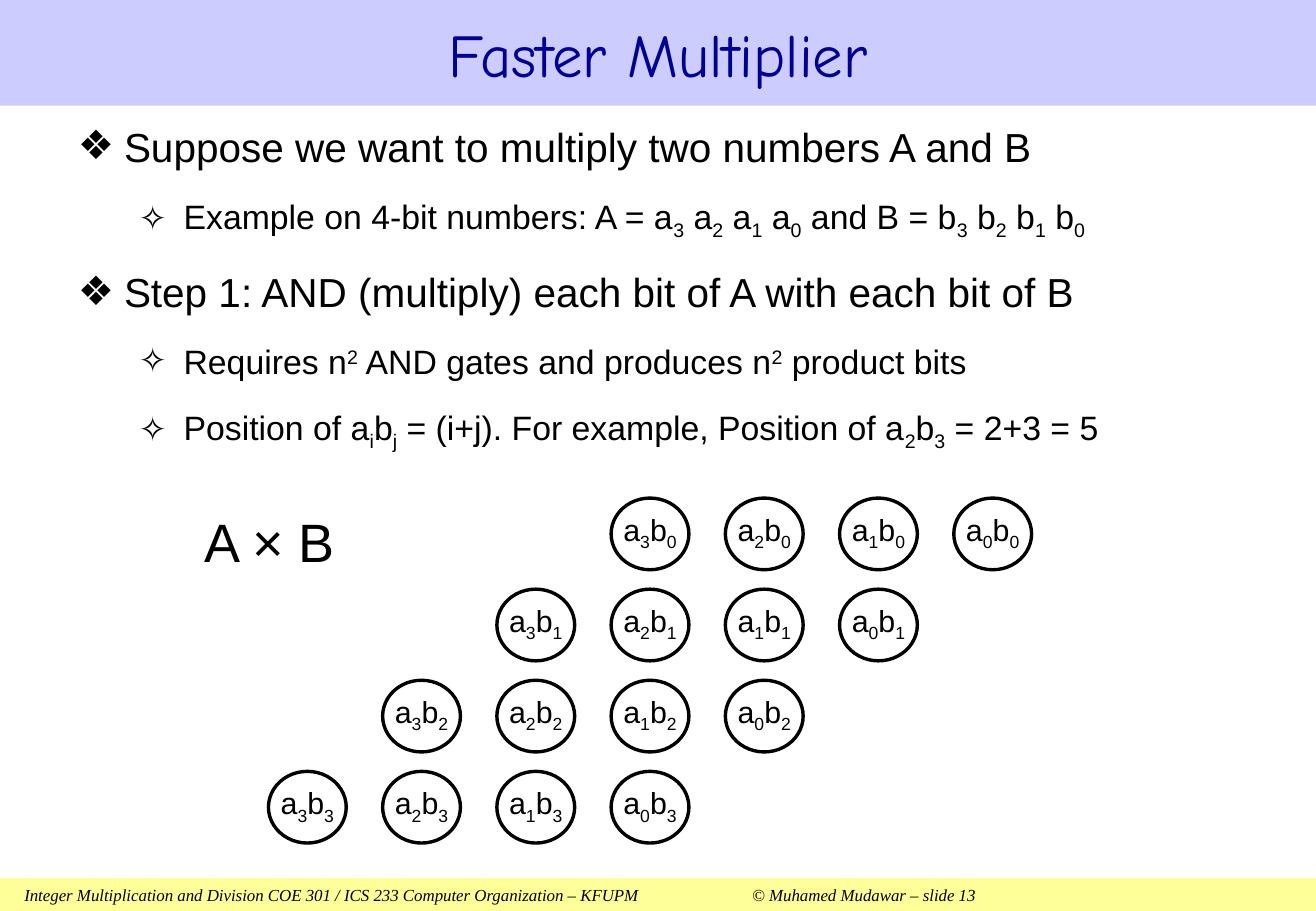
import dataclasses

import lxml.etree
import pptx
import pptx.dml.color
import pptx.enum.shapes
import pptx.enum.text
import pptx.oxml.ns
import pptx.util

SLIDE_W = pptx.util.Inches(10.83)
SLIDE_H = pptx.util.Inches(7.5)
BITS = 4


@dataclasses.dataclass(frozen=True)
class Theme:
    """Colours, fonts and type sizes of the slide."""
    ink: str = "000000"
    title: str = "000099"
    title_band: str = "CCCCFF"
    footer_band: str = "FFFF99"
    body_font: str = "Arial"
    title_font: str = "Comic Neue"
    footer_font: str = "Times New Roman"
    title_size: int = 36
    product_size: int = 32
    body_sizes: tuple = (24, 20)
    bit_size: int = 18
    footer_size: int = 10


THEME = Theme()
BULLETS = (("❖", 0.38, -0.38), ("✧", 0.87, -0.37))
OUTLINE = (
    (0, "Suppose we want to multiply two numbers A and B"),
    (1, "Example on 4-bit numbers: A = a|_3| a|_2| a|_1| a|_0"
        "| and B = b|_3| b|_2| b|_1| b|_0"),
    (0, "Step 1: AND (multiply) each bit of A with each bit of B"),
    (1, "Requires n|^2| AND gates and produces n|^2| product bits"),
    (1, "Position of a|_i|b|_j| = (i+j). For example, Position of a|_2|b|_3| = 2+3 = 5"),
)


def rgb(value):
    """Return a colour object for a hex value."""
    return pptx.dml.color.RGBColor.from_string(value)


def box(left, top, width, height):
    """Turn percentages of the slide's size into lengths."""
    return (int(SLIDE_W * left / 100), int(SLIDE_H * top / 100),
            int(SLIDE_W * width / 100), int(SLIDE_H * height / 100))


def place(sp, *shares):
    """Move and size a shape by percentages of the slide."""
    sp.left, sp.top, sp.width, sp.height = box(*shares)


def fill(sp, color):
    """Give a shape a solid fill."""
    sp.fill.solid()
    sp.fill.fore_color.rgb = rgb(color)


def add_runs(p, text, size, font=THEME.body_font, color=THEME.ink, italic=False):
    """Add runs split at bars, lowering those marked _ and raising those marked ^."""
    baselines = {"_": "-25000", "^": "30000"}
    for piece in text.split("|"):
        r = p.add_run()
        baseline = baselines.get(piece[0])
        r.text = piece[1:] if baseline else piece
        r.font.size = pptx.util.Pt(size)
        r.font.name = font
        r.font.color.rgb = rgb(color)
        r.font.italic = italic
        if baseline:
            r.font._element.set("baseline", baseline)


def add_title(s, text):
    """Fill the title placeholder as a coloured band."""
    sp = s.shapes.title
    place(sp, 0, 0, 100, 11.6)
    fill(sp, THEME.title_band)
    sp.text_frame.vertical_anchor = pptx.enum.text.MSO_ANCHOR.MIDDLE
    p = sp.text_frame.paragraphs[0]
    p.alignment = pptx.enum.text.PP_ALIGN.CENTER
    add_runs(p, text, THEME.title_size, THEME.title_font, THEME.title)


def set_bullet(p, level):
    """Set the level, hanging indent and bullet of a paragraph."""
    mark, margin, indent = BULLETS[level]
    p.level = level
    p.space_before = pptx.util.Pt(15)
    pPr = p._p.get_or_add_pPr()
    pPr.set("marL", str(pptx.util.Inches(margin)))
    pPr.set("indent", str(pptx.util.Inches(indent)))
    lxml.etree.SubElement(pPr, pptx.oxml.ns.qn("a:buChar")).set("char", mark)


def add_outline(s, items):
    """Fill the body placeholder with a two-level list."""
    sp = s.placeholders[1]
    place(sp, 4.99, 12.67, 90.03, 38.8)
    tf = sp.text_frame
    tf.auto_size = pptx.enum.text.MSO_AUTO_SIZE.NONE
    for i, (level, text) in enumerate(items):
        p = tf.add_paragraph() if i else tf.paragraphs[0]
        set_bullet(p, level)
        add_runs(p, text, THEME.body_sizes[level])


def add_bit(shapes, i, j):
    """Add the circled product of bit i of A and bit j of B."""
    left, top = 72.48 - 8.68 * (i + j), 54.67 + 10 * j
    sp = shapes.add_shape(pptx.enum.shapes.MSO_SHAPE.OVAL, *box(left, top, 5.91, 7.87))
    sp.shadow.inherit = False
    sp.fill.background()
    sp.line.color.rgb = rgb(THEME.ink)
    sp.line.width = pptx.util.Pt(2)
    tf = sp.text_frame
    tf.word_wrap = False
    tf.margin_left = tf.margin_right = tf.margin_top = 0
    tf.margin_bottom = pptx.util.Inches(0.04)
    tf.vertical_anchor = pptx.enum.text.MSO_ANCHOR.MIDDLE
    p = tf.paragraphs[0]
    p.alignment = pptx.enum.text.PP_ALIGN.CENTER
    add_runs(p, f"a|_{i}|b|_{j}", THEME.bit_size)


def add_product(s, text):
    """Add the staggered grid of product bits and its label."""
    grp = s.shapes.add_group_shape()
    for j in range(BITS):
        for i in range(BITS):
            add_bit(grp.shapes, i, j)
    tf = grp.shapes.add_textbox(*box(13.02, 55.2, 14.96, 8.53)).text_frame
    tf.word_wrap = True
    p = tf.paragraphs[0]
    p.alignment = pptx.enum.text.PP_ALIGN.CENTER
    add_runs(p, text, THEME.product_size)


def add_footer(s, text):
    """Add the footer band with a tab stop for the author."""
    sp = s.shapes.add_shape(pptx.enum.shapes.MSO_SHAPE.RECTANGLE, *box(0, 96.4, 100, 3.6))
    sp.shadow.inherit = False
    fill(sp, THEME.footer_band)
    sp.line.fill.background()
    tf = sp.text_frame
    tf.margin_left = pptx.util.Inches(0.2)
    tf.vertical_anchor = pptx.enum.text.MSO_ANCHOR.MIDDLE
    p = tf.paragraphs[0]
    p.alignment = pptx.enum.text.PP_ALIGN.LEFT
    tabs = lxml.etree.SubElement(p._p.get_or_add_pPr(), pptx.oxml.ns.qn("a:tabLst"))
    tab = lxml.etree.SubElement(tabs, pptx.oxml.ns.qn("a:tab"))
    tab.set("pos", str(pptx.util.Inches(5.99)))
    tab.set("algn", "l")
    add_runs(p, text, THEME.footer_size, THEME.footer_font, italic=True)


def main():
    """Build the slide and save it."""
    prs = pptx.Presentation()
    prs.slide_width, prs.slide_height = SLIDE_W, SLIDE_H
    s = prs.slides.add_slide(prs.slide_layouts[1])
    add_title(s, "Faster Multiplier")
    add_outline(s, OUTLINE)
    add_product(s, "A × B")
    add_footer(s, "Integer Multiplication and Division COE 301 / ICS 233 Computer "
                  "Organization – KFUPM\t© Muhamed Mudawar – slide 13")
    prs.save("out.pptx")


if __name__ == "__main__":
    main()
